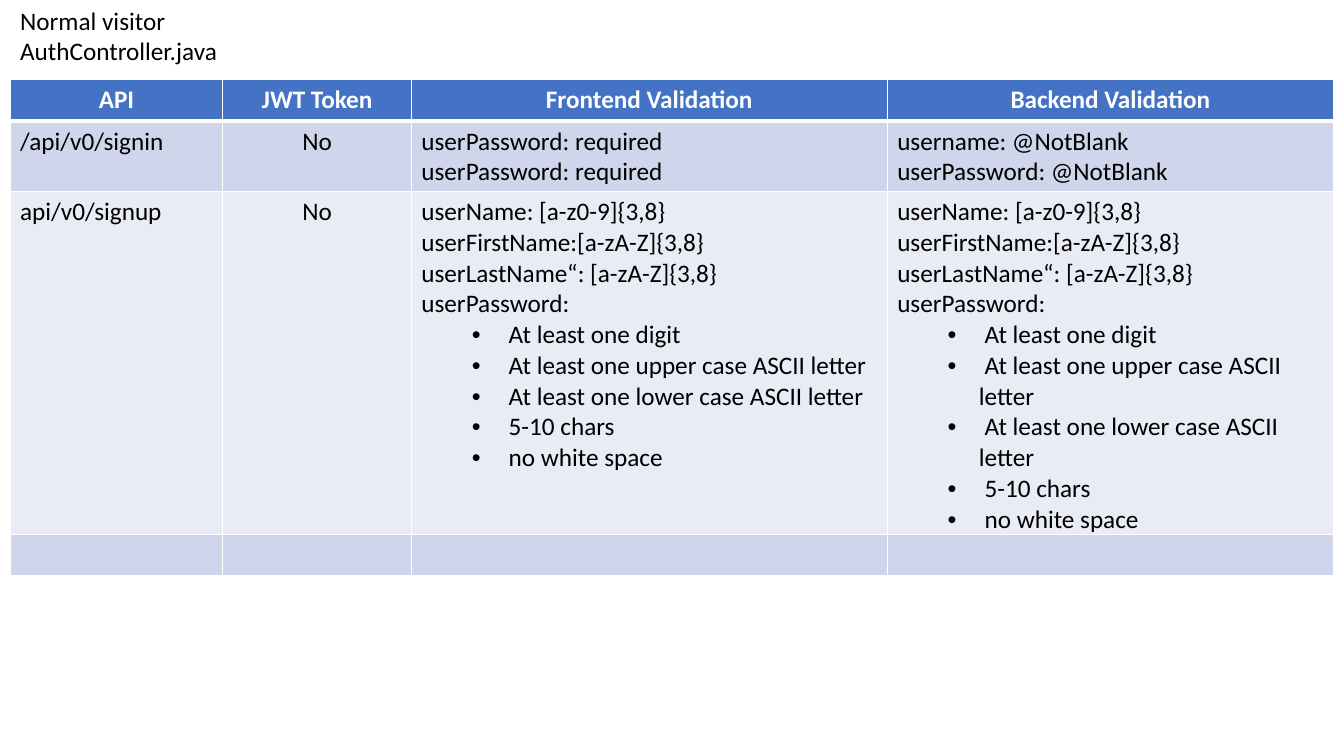
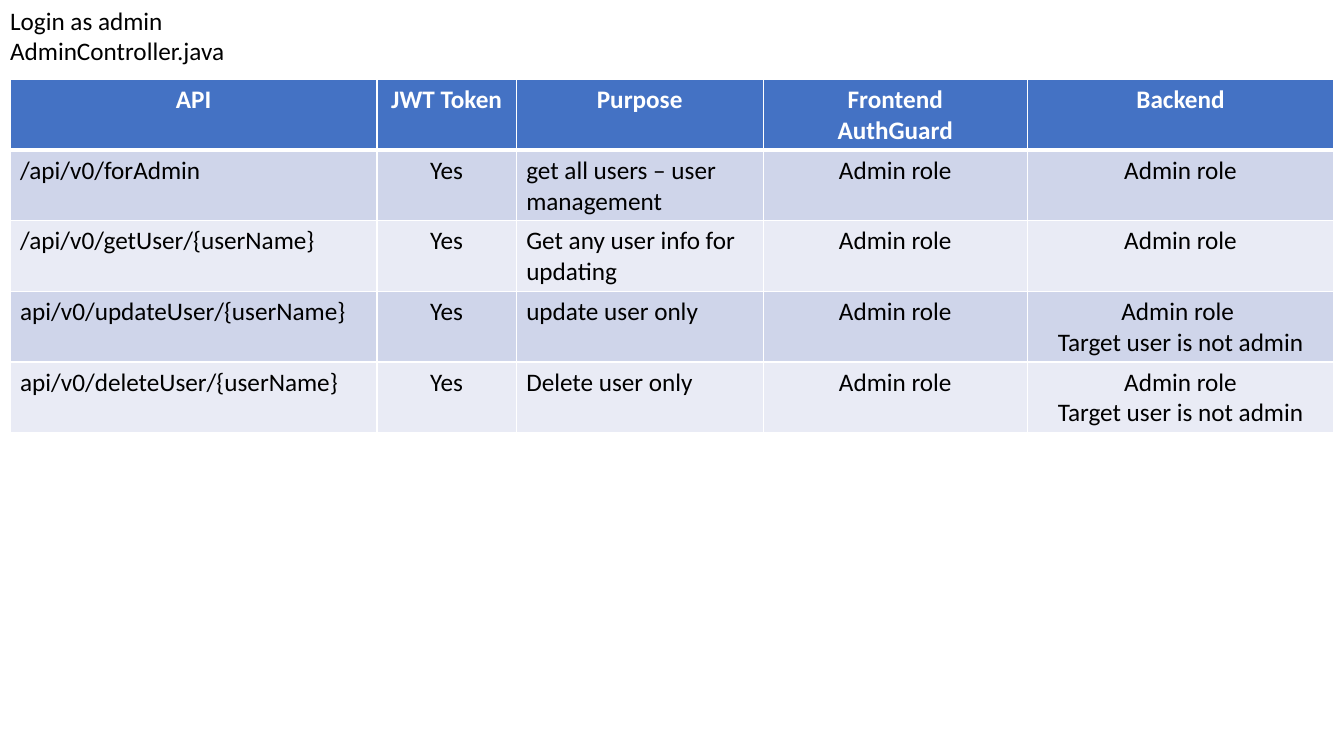
import pptx
import pptx.dml.color
import pptx.enum.text
import pptx.oxml.ns
import pptx.util
from lxml import etree

SLIDE_WIDTH, SLIDE_HEIGHT = 13.33, 7.5
TABLE_LEFT, TABLE_TOP, TABLE_WIDTH = 0.1, 0.79, 13.13
ROW_HEIGHT = 0.41
HEADING_WIDTH, HEADING_HEIGHT = SLIDE_WIDTH / 2, 0.71
FONT, FONT_SIZE = "Calibri", 18
BULLET = "•"
COLORS = {
    "text": "000000",
    "header": "4472C4",
    "header_text": "FFFFFF",
    "odd_row": "CFD5EA",
    "even_row": "E9EBF5",
    "border": "FFFFFF",
}

SIGNUP_RULES = [
    "userName:\u00a0[a-z0-9]{3,8}",
    "userFirstName:[a-zA-Z]{3,8}",
    "userLastName“: [a-zA-Z]{3,8}",
    "userPassword:\u00a0",
    "• At least one digit",
    "• At least one upper case ASCII letter",
    "• At least one lower case ASCII letter",
    "• 5-10 chars",
    "• no white space",
]
ADMIN = ["Admin role"]
NOT_ADMIN_TARGET = "Target user is not admin"

PAGES = [
    {
        "heading": ["Normal visitor", "AuthController.java"],
        "heading_left": TABLE_LEFT,
        "column_weights": [2.11, 1.87, 4.72, 4.43],
        "centered_columns": {1},
        "rows": [
            [["API"], ["JWT Token"], ["Frontend Validation"], ["Backend Validation"]],
            [["/api/v0/signin"], ["No"], ["userPassword: required"] * 2,
             ["username: @NotBlank", "userPassword: @NotBlank"]],
            [["api/v0/signup"], ["No"], SIGNUP_RULES, SIGNUP_RULES],
            [[], [], [], []],
        ],
    },
    {
        "heading": ["Login as admin", "AdminController.java"],
        "heading_left": 0,
        "column_weights": [3.64, 1.38, 2.45, 2.62, 3.04],
        "centered_columns": {1, 3, 4},
        "rows": [
            [["API"], ["JWT Token"], ["Purpose"], ["Frontend", "AuthGuard"], ["Backend"]],
            [["/api/v0/forAdmin"], ["Yes"], ["get all users – user management"], ADMIN, ADMIN],
            [["/api/v0/getUser/{userName}"], ["Yes"], ["Get any user info for updating"],
             ADMIN, ADMIN],
            [["api/v0/updateUser/{userName}"], ["Yes"], ["update user only"], ADMIN,
             ["Admin role ", NOT_ADMIN_TARGET]],
            [["api/v0/deleteUser/{userName}"], ["Yes"], ["Delete user only"], ADMIN,
             ["Admin role", NOT_ADMIN_TARGET]],
        ],
    },
]


def rgb(color):
    """Return the named colour."""
    return pptx.dml.color.RGBColor.from_string(COLORS[color])


def add_child(parent, tag, **attributes):
    """Append a DrawingML element to parent."""
    return etree.SubElement(parent, pptx.oxml.ns.qn(tag), **attributes)


def set_bullet(paragraph):
    """Indent a paragraph one level and give it a bullet."""
    paragraph.level = 1
    properties = paragraph._p.get_or_add_pPr()
    properties.set("marL", str(pptx.util.Inches(0.81)))
    properties.set("indent", str(pptx.util.Inches(-0.31)))
    add_child(properties, "a:buFont", typeface="Arial")
    add_child(properties, "a:buChar", char=BULLET)


def write_lines(frame, lines, color="text", bold=False, centered=False):
    """Write one paragraph per line; a leading bullet makes a list item."""
    align = pptx.enum.text.PP_ALIGN
    for index, line in enumerate(lines):
        paragraph = frame.add_paragraph() if index else frame.paragraphs[0]
        paragraph.alignment = align.CENTER if centered else align.LEFT
        if line.startswith(BULLET):
            set_bullet(paragraph)
        run = paragraph.add_run()
        run.text = line.removeprefix(BULLET)
        run.font.name = FONT
        run.font.size = pptx.util.Pt(FONT_SIZE)
        run.font.bold = bold
        run.font.color.rgb = rgb(color)


def set_borders(cell, top, bottom):
    """Draw the cell borders; top and bottom are widths in points."""
    properties = cell._tc.get_or_add_tcPr()
    widths = {"a:lnL": 1, "a:lnR": 1, "a:lnT": top, "a:lnB": bottom}
    for position, (side, width) in enumerate(widths.items()):
        border = add_child(properties, side, w=str(pptx.util.Pt(width)))
        fill = add_child(border, "a:solidFill")
        add_child(fill, "a:srgbClr", val=COLORS["border"])
        properties.insert(position, border)


def add_heading(slide, lines, left):
    """Place the heading in the title placeholder."""
    heading = slide.shapes.title
    heading.left, heading.top = pptx.util.Inches(left), 0
    heading.width = pptx.util.Inches(HEADING_WIDTH)
    heading.height = pptx.util.Inches(HEADING_HEIGHT)
    frame = heading.text_frame
    frame.word_wrap = True
    frame.auto_size = pptx.enum.text.MSO_AUTO_SIZE.SHAPE_TO_FIT_TEXT
    frame.vertical_anchor = pptx.enum.text.MSO_ANCHOR.TOP
    write_lines(frame, lines)


def add_endpoint_table(slide, rows, column_weights, centered_columns):
    """Add the banded table of endpoints, with its header row."""
    table = slide.shapes.add_table(
        len(rows), len(column_weights),
        pptx.util.Inches(TABLE_LEFT), pptx.util.Inches(TABLE_TOP),
        pptx.util.Inches(TABLE_WIDTH), pptx.util.Inches(ROW_HEIGHT * len(rows)),
    ).table
    for column, weight in zip(table.columns, column_weights):
        column.width = pptx.util.Inches(TABLE_WIDTH * weight / sum(column_weights))
    for row_index, row in enumerate(rows):
        is_header = row_index == 0
        band = "header" if is_header else ("even_row", "odd_row")[row_index % 2]
        for column_index, lines in enumerate(row):
            cell = table.cell(row_index, column_index)
            cell.fill.solid()
            cell.fill.fore_color.rgb = rgb(band)
            set_borders(cell, top=3 if row_index == 1 else 1, bottom=3 if is_header else 1)
            write_lines(cell.text_frame, lines,
                        color="header_text" if is_header else "text", bold=is_header,
                        centered=is_header or column_index in centered_columns)


def main():
    """Build and save the presentation."""
    presentation = pptx.Presentation()
    presentation.slide_width = pptx.util.Inches(SLIDE_WIDTH)
    presentation.slide_height = pptx.util.Inches(SLIDE_HEIGHT)
    title_only = presentation.slide_layouts.get_by_name("Title Only")
    for page in PAGES:
        slide = presentation.slides.add_slide(title_only)
        add_heading(slide, page["heading"], page["heading_left"])
        add_endpoint_table(slide, page["rows"], page["column_weights"],
                           page["centered_columns"])
    presentation.save("out.pptx")


main()
